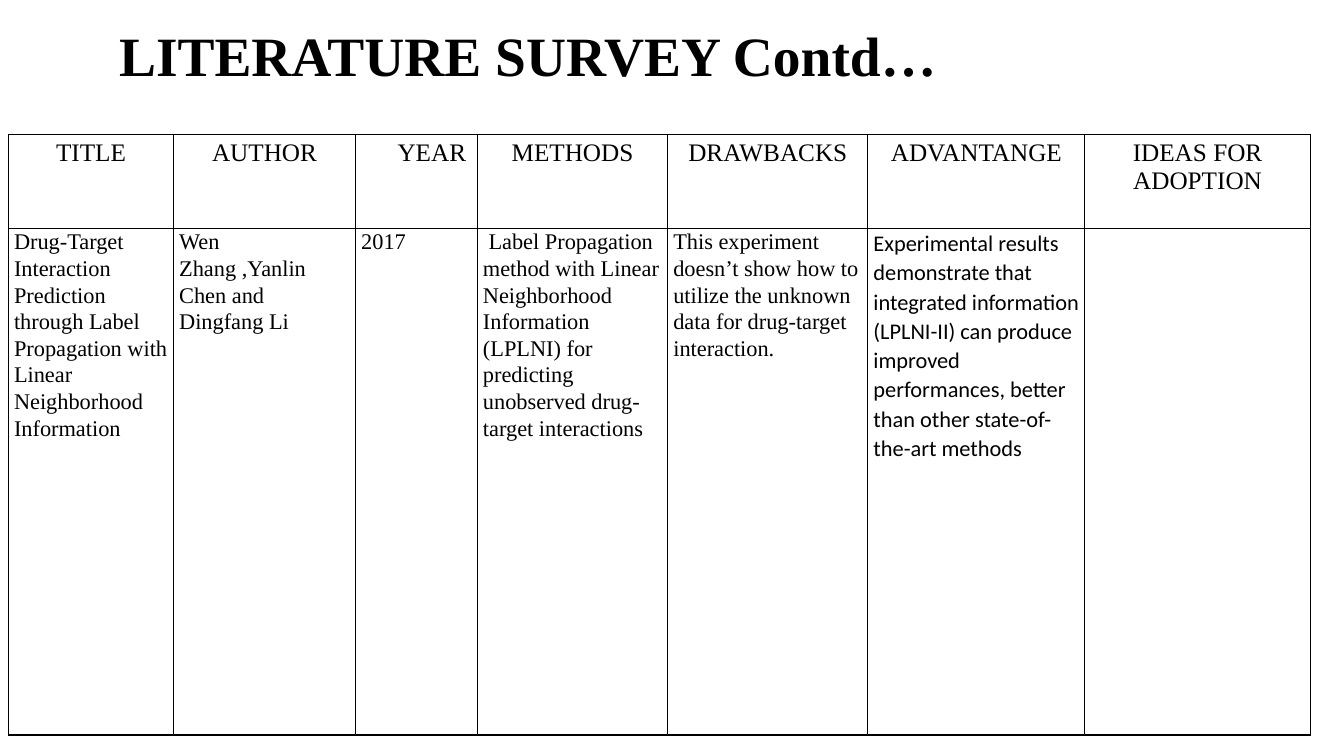
from dataclasses import dataclass

from lxml.etree import SubElement
from pptx import Presentation
from pptx.dml.color import RGBColor
from pptx.enum.text import MSO_ANCHOR as Anchor, PP_ALIGN as Align
from pptx.oxml.ns import qn
from pptx.util import Pt


@dataclass(frozen=True)
class Theme:
    """Colours, fonts and type sizes of the slide."""
    ink: str = "000000"
    paper: str = "FFFFFF"
    serif: str = "Times New Roman"
    sans: str = "Calibri"
    title_size: float = 39.6
    header_size: float = 18
    body_size: float = 16
    border_width: float = 1


theme = Theme()


def add_run(paragraph, text, size, font=theme.serif, bold=False):
    """Add one styled run to a paragraph."""
    run = paragraph.add_run()
    run.text = text
    run.font.name = font
    run.font.size = Pt(size)
    run.font.bold = bold
    run.font.color.rgb = RGBColor.from_string(theme.ink)


def style_cell(cell, side_margin, end_margin):
    """Give a cell its borders, fill and margins."""
    properties = cell._tc.get_or_add_tcPr()
    for side in ("lnL", "lnR", "lnT", "lnB"):
        line = SubElement(properties, qn(f"a:{side}"), w=str(Pt(theme.border_width)))
        fill = SubElement(line, qn("a:solidFill"))
        SubElement(fill, qn("a:srgbClr"), val=theme.ink)
    cell.fill.solid()
    cell.fill.fore_color.rgb = RGBColor.from_string(theme.paper)
    cell.margin_left = cell.margin_right = Pt(side_margin)
    cell.margin_top = cell.margin_bottom = Pt(end_margin)


presentation = Presentation()
presentation.slide_width, presentation.slide_height = Pt(960), Pt(540)
slide = presentation.slides.add_slide(presentation.slide_layouts[6])

# Title
title = slide.shapes.add_textbox(Pt(78), Pt(12), Pt(646), Pt(60))
title.text_frame.word_wrap = True
title.text_frame.vertical_anchor = Anchor.MIDDLE
heading = title.text_frame.paragraphs[0]
heading.line_spacing = 0.9
add_run(heading, "LITERATURE SURVEY Contd…", theme.title_size, bold=True)

# Survey table: header, column width, entry, entry font
columns = [
    ("TITLE", 118, "Drug-Target Interaction Prediction through Label Propagation "
     "with Linear Neighborhood Information", theme.serif),
    ("AUTHOR", 130, "Wen Zhang ,Yanlin Chen and Dingfang Li", theme.serif),
    ("YEAR", 87, "2017", theme.serif),
    ("METHODS", 136, " Label Propagation method with Linear Neighborhood Information "
     "(LPLNI) for predicting unobserved drug-target interactions", theme.serif),
    ("DRAWBACKS", 143, "This experiment doesn’t show how to utilize the unknown data "
     "for drug-target interaction.", theme.serif),
    ("ADVANTANGE", 155, "Experimental results demonstrate that integrated information "
     "(LPLNI-II) can produce improved performances, better than other "
     "state-of-the-art methods", theme.sans),
    ("IDEAS FOR ADOPTION", 161, "", theme.serif),
]
row_heights = [67, 362]
table_width = sum(width for _, width, _, _ in columns)
table = slide.shapes.add_table(len(row_heights), len(columns), Pt(6), Pt(96),
                               Pt(table_width), Pt(sum(row_heights))).table
table.first_row = table.horz_banding = False
for row, height in zip(table.rows, row_heights):
    row.height = Pt(height)

for index, (header, width, entry, font) in enumerate(columns):
    table.columns[index].width = Pt(width)

    header_cell = table.cell(0, index)
    style_cell(header_cell, side_margin=5, end_margin=3.6)
    if header == "YEAR":
        header_cell.margin_left = Pt(27)
    paragraph = header_cell.text_frame.paragraphs[0]
    paragraph.alignment = Align.CENTER
    add_run(paragraph, header, theme.header_size)

    entry_cell = table.cell(1, index)
    style_cell(entry_cell, side_margin=4, end_margin=0)
    if entry:
        paragraph = entry_cell.text_frame.paragraphs[0]
        paragraph.line_spacing = 1.07
        add_run(paragraph, entry, theme.body_size, font)

presentation.save("out.pptx")
